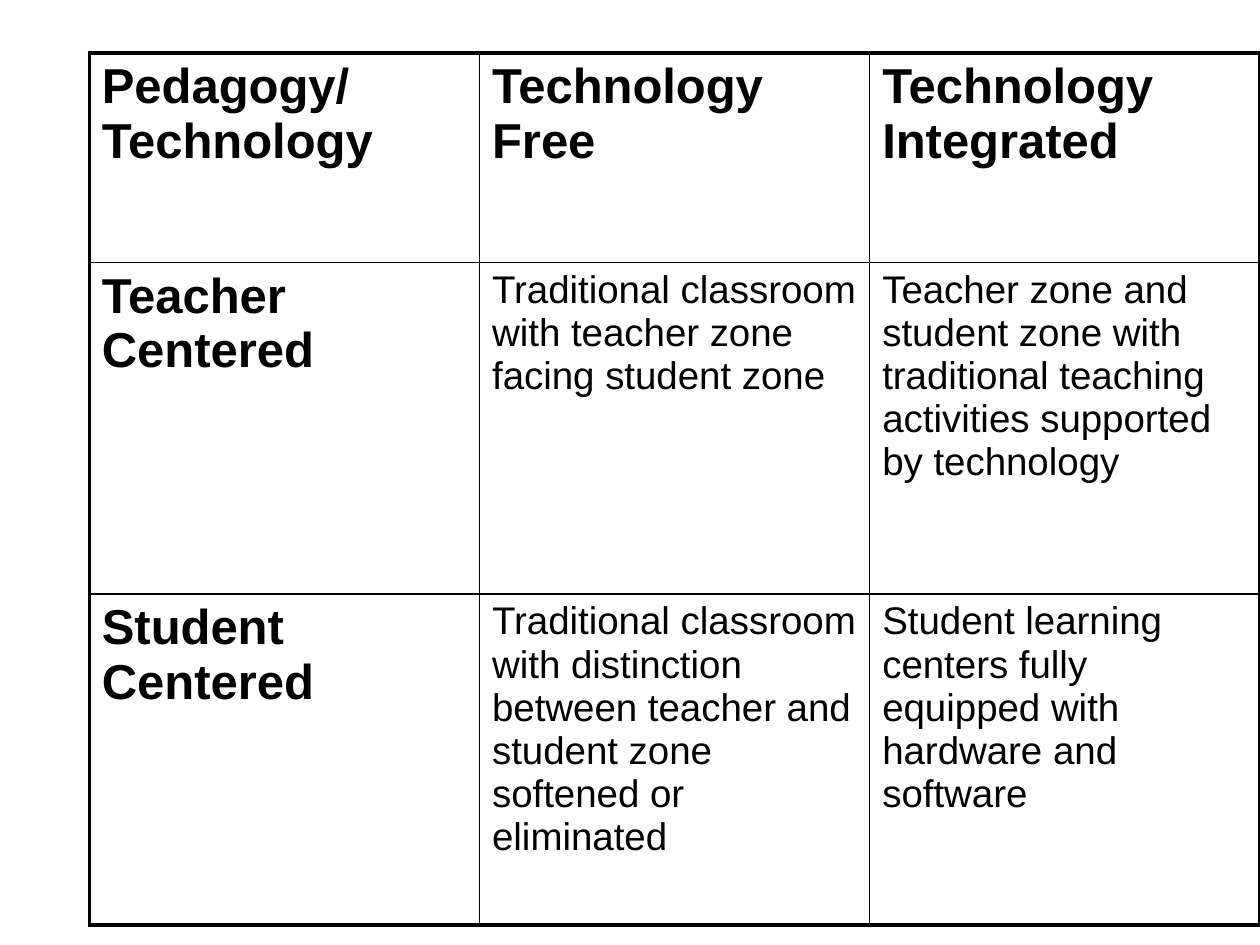
from lxml.etree import SubElement
from pptx import Presentation
from pptx.dml.color import RGBColor
from pptx.oxml.ns import qn
from pptx.util import Cm, Pt

BLACK = RGBColor(0, 0, 0)
FONT = "Arial"
ROWS = [
    ("Pedagogy/ Technology", "Technology Free", "Technology Integrated"),
    ("Teacher Centered",
     "Traditional classroom with teacher zone facing student zone",
     "Teacher zone and student zone with traditional teaching activities "
     "supported by technology"),
    ("Student Centered",
     "Traditional classroom with distinction between teacher and student zone "
     "softened or eliminated",
     "Student learning centers fully equipped with hardware and software"),
]
ROW_HEIGHTS = [4.22, 6.68, 6.68]
LEFT, TOP, WIDTH = 1.8, 1.07, 23.6
INNER, OUTER = Pt(1), Pt(2.25)


def set_borders(cell, outer_edges):
    tcPr = cell._tc.get_or_add_tcPr()
    for side, outer in zip("LRTB", outer_edges):
        ln = SubElement(tcPr, qn(f"a:ln{side}"), w=str(OUTER if outer else INNER))
        fill = SubElement(ln, qn("a:solidFill"))
        SubElement(fill, qn("a:srgbClr"), val=str(BLACK))


def fill_cell(cell, text, heading):
    cell.fill.background()
    r = cell.text_frame.paragraphs[0].add_run()
    r.text = text
    r.font.name = FONT
    r.font.size = Pt(28 if heading else 22)
    r.font.bold = heading
    r.font.color.rgb = BLACK


def main():
    prs = Presentation()
    prs.slide_width, prs.slide_height = Cm(25.4), Cm(19.05)
    s = prs.slides.add_slide(prs.slide_layouts[6])
    last_row, last_col = len(ROWS) - 1, len(ROWS[0]) - 1
    table = s.shapes.add_table(len(ROWS), len(ROWS[0]), Cm(LEFT), Cm(TOP),
                               Cm(WIDTH), Cm(sum(ROW_HEIGHTS))).table
    table.first_row = table.horz_banding = False
    for col in table.columns:
        col.width = Cm(WIDTH / len(ROWS[0]))
    for i, (texts, height) in enumerate(zip(ROWS, ROW_HEIGHTS)):
        table.rows[i].height = Cm(height)
        for j, text in enumerate(texts):
            cell = table.cell(i, j)
            set_borders(cell, (j == 0, j == last_col, i == 0, i == last_row))
            fill_cell(cell, text, i == 0 or j == 0)
    prs.save("out.pptx")


if __name__ == "__main__":
    main()
